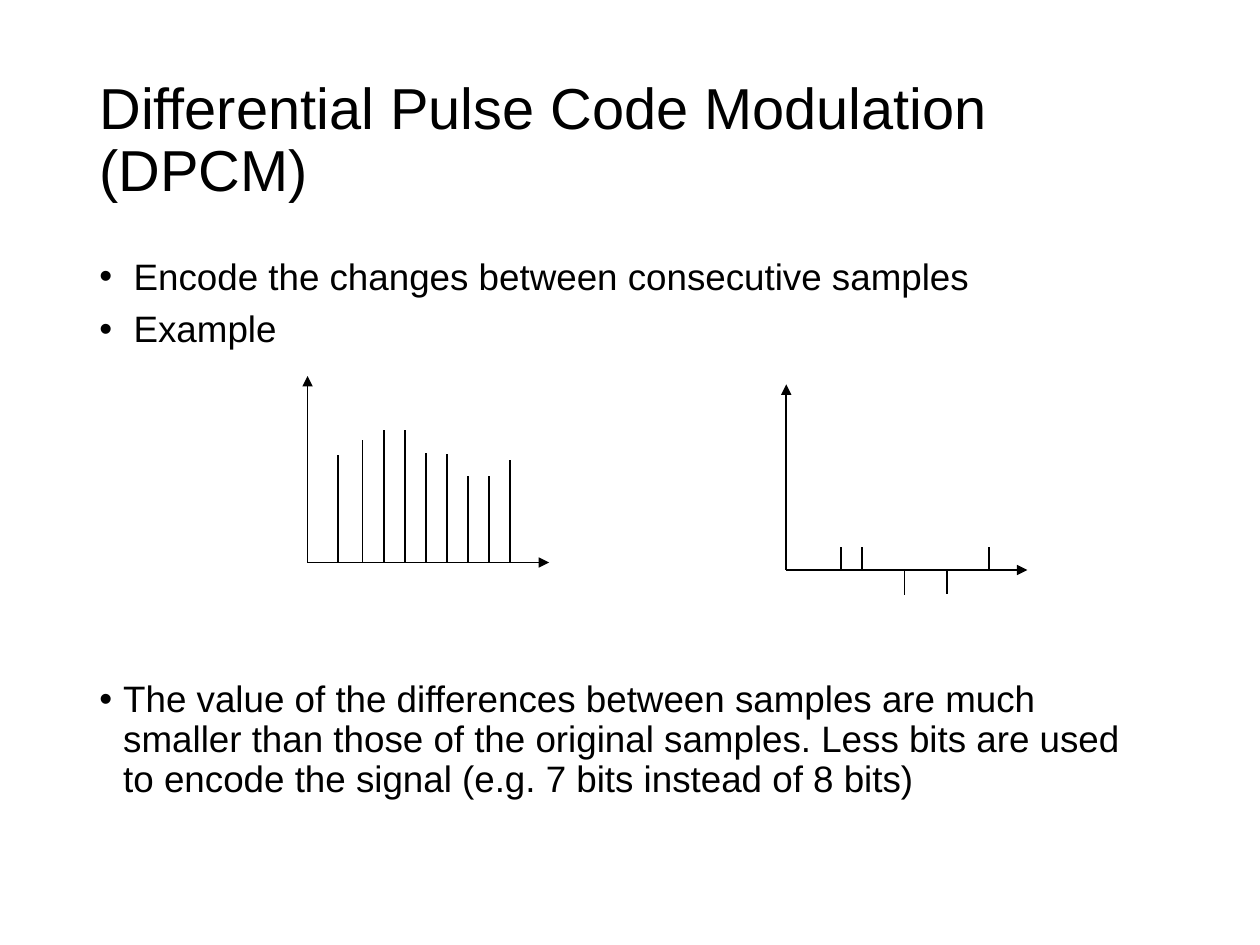
from dataclasses import dataclass

from lxml.etree import SubElement as Sub
from pptx import Presentation as Deck
from pptx.dml.color import RGBColor as Rgb
from pptx.enum.shapes import MSO_CONNECTOR as Link
from pptx.enum.text import MSO_ANCHOR as Anchor, MSO_AUTO_SIZE as Fit, PP_ALIGN as Align
from pptx.oxml.ns import qn
from pptx.util import Cm, Pt

HUES = {"ink": "000000", "page": "FFFFFF"}
FONT = "Arial"
GRID = [1.11 + 0.425 * i for i in range(8)]


@dataclass
class Item:
    text: str
    indent: float
    before: float


@dataclass
class Plot:
    left: float
    base: float
    high: float
    wide: float
    slots: list[float]
    bars: list[float]


ITEMS = [
    Item("Encode the changes between consecutive samples", 0.69, 0),
    Item("Example", 0.69, 7.5),
    Item("The value of the differences between samples are much smaller than "
         "those of the original samples. Less bits are used to encode the "
         "signal (e.g. 7 bits instead of 8 bits)", 0.48, 188.7),
]
PLOTS = [
    Plot(6.2, 11.34, 3.76, 4.87, [0.61] + GRID,
         [2.16, 2.46, 2.67, 2.67, 2.21, 2.18, 1.75, 1.75, 2.06]),
    Plot(15.85, 11.49, 3.74, 4.86, GRID,
         [0.46, 0.46, 0, -0.5, 0, -0.48, 0, 0.46]),
]


def place(shape, top: float, high: float, anchor: Anchor):
    shape.left, shape.top = Cm(1.75), Cm(top)
    shape.width, shape.height = Cm(21.9), Cm(high)
    frame = shape.text_frame
    frame.word_wrap = True
    frame.auto_size = Fit.NONE
    frame.vertical_anchor = anchor
    return frame


def write(para, text: str, size: float, before: float = 0) -> None:
    para.alignment = Align.LEFT
    para.line_spacing = 0.9
    para.space_before = Pt(before)
    run = para.add_run()
    run.text = text
    run.font.name = FONT
    run.font.size = Pt(size)
    run.font.color.rgb = Rgb.from_string(HUES["ink"])


def bullet(para, indent: float) -> None:
    props = para._p.get_or_add_pPr()
    props.set("marL", str(Cm(indent)))
    props.set("indent", str(-Cm(indent)))
    Sub(props, qn("a:buFont"), typeface=FONT)
    Sub(props, qn("a:buChar"), char="•")


def rule(slide, x: float, y: float, dx: float, dy: float, arrow: bool = False) -> None:
    line = slide.shapes.add_connector(
        Link.STRAIGHT, Cm(x), Cm(y), Cm(x + dx), Cm(y + dy))
    line.line.color.rgb = Rgb.from_string(HUES["ink"])
    line.line.width = Pt(1)
    if arrow:
        Sub(line.line._get_or_add_ln(), qn("a:tailEnd"), type="triangle")
    Sub(line._element.spPr, qn("a:effectLst"))


def draw(slide, plot: Plot) -> None:
    rule(slide, plot.left, plot.base, 0, -plot.high, True)
    rule(slide, plot.left, plot.base, plot.wide, 0, True)
    for slot, bar in zip(plot.slots, plot.bars):
        if bar:
            rule(slide, plot.left + slot, plot.base, 0, -bar)


def main() -> None:
    deck = Deck()
    deck.slide_width, deck.slide_height = Cm(25.4), Cm(19.05)
    slide = deck.slides.add_slide(deck.slide_layouts[1])
    fill = slide.background.fill
    fill.solid()
    fill.fore_color.rgb = Rgb.from_string(HUES["page"])

    title = place(slide.shapes.title, 1.02, 3.68, Anchor.MIDDLE)
    write(title.paragraphs[0], "Differential Pulse Code Modulation (DPCM)", 33)

    body = place(slide.placeholders[1], 5.08, 12.09, Anchor.TOP)
    for i, item in enumerate(ITEMS):
        para = body.add_paragraph() if i else body.paragraphs[0]
        bullet(para, item.indent)
        write(para, item.text, 21, item.before)

    for plot in PLOTS:
        draw(slide, plot)
    deck.save("out.pptx")


if __name__ == "__main__":
    main()
